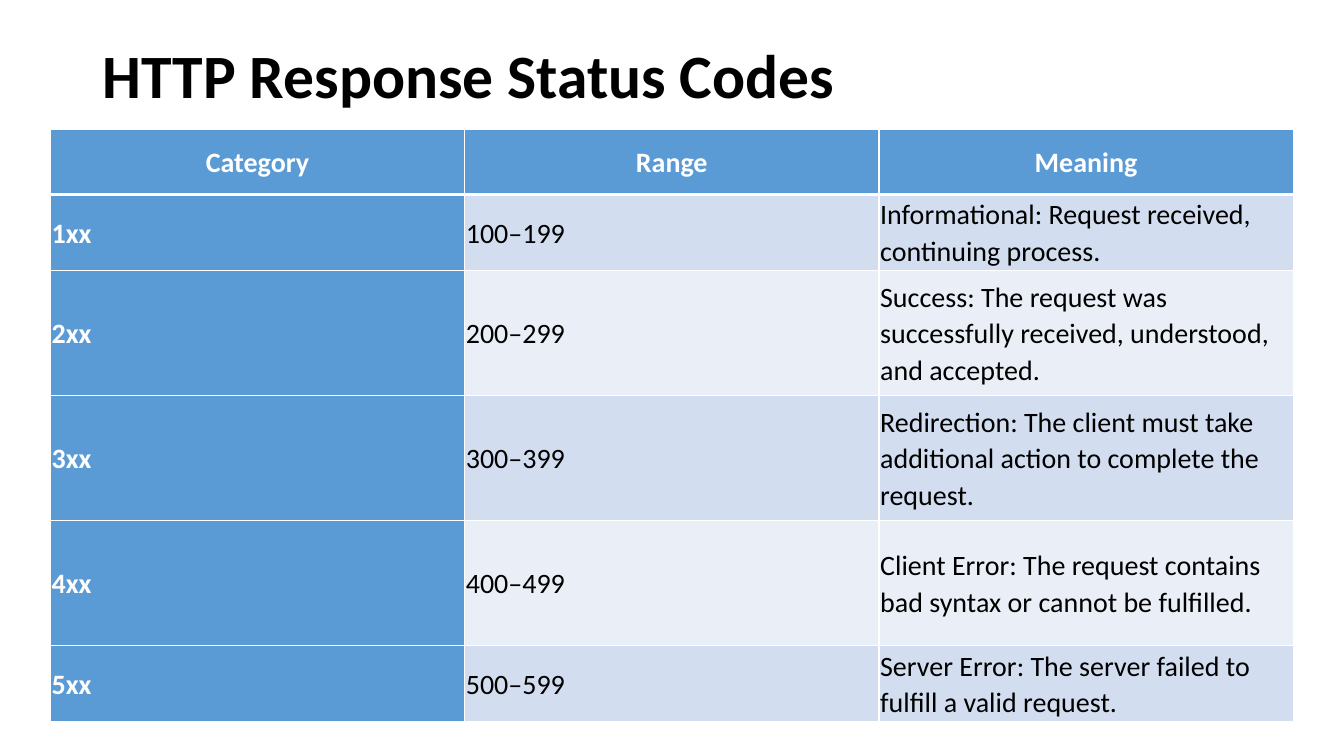
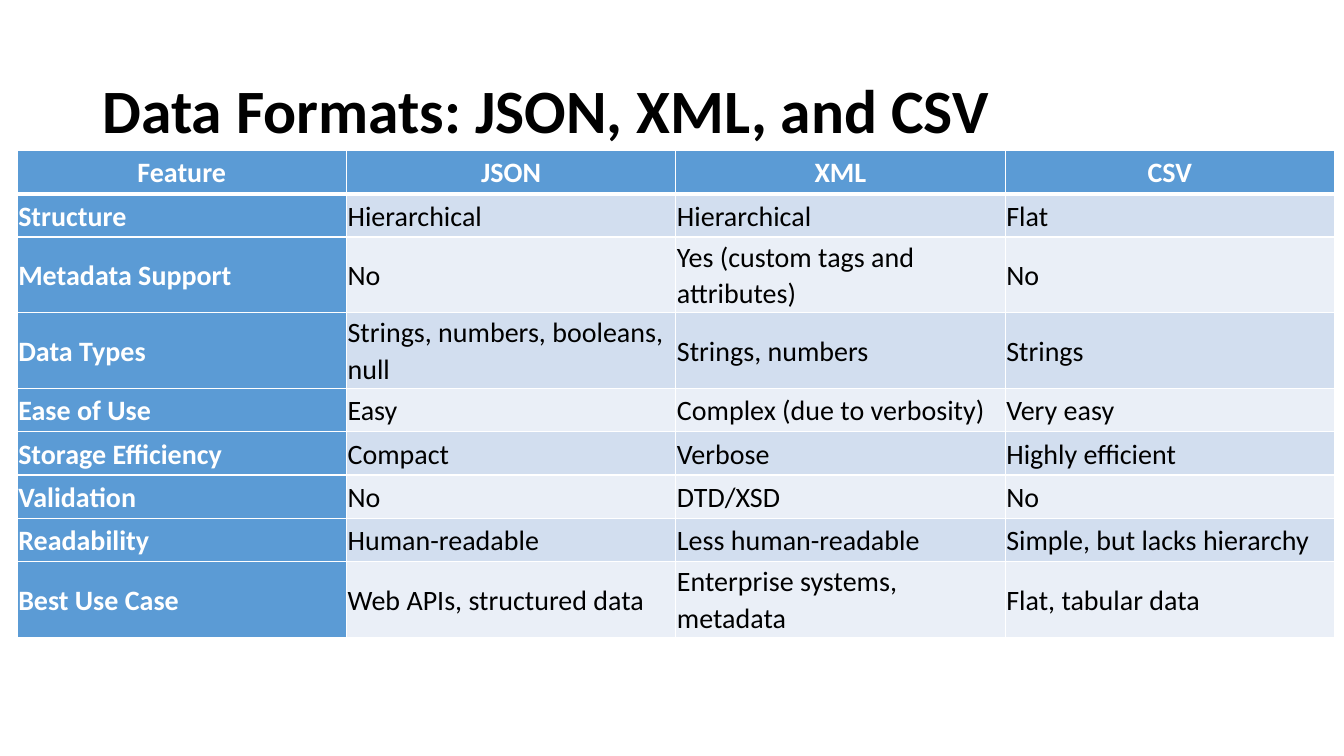
from lxml import etree
from pptx import Presentation
from pptx import util as u
from pptx.dml.color import RGBColor
from pptx.enum import text
from pptx.oxml import ns

FONT = "Calibri"
BLACK, WHITE, BLUE = "000000", "FFFFFF", "5B9BD5"
BANDS = ("D2DEEF", "EAEFF7")
THIN, THICK = 1, 3
CELL_INSET = u.Cm(0.03)

STATUS_CODES = [
    ("Category", "Range", "Meaning"),
    ("1xx", "100–199", "Informational: Request received, continuing process."),
    ("2xx", "200–299", "Success: The request was successfully received, understood, and accepted."),
    ("3xx", "300–399", "Redirection: The client must take additional action to complete the request."),
    ("4xx", "400–499", "Client Error: The request contains bad syntax or cannot be fulfilled."),
    ("5xx", "500–599", "Server Error: The server failed to fulfill a valid request."),
]
STATUS_HEIGHTS = [1.65, 1.92, 3.15, 3.15, 3.15, 1.92]

DATA_FORMATS = [
    ("Feature", "JSON", "XML", "CSV"),
    ("Structure", "Hierarchical", "Hierarchical", "Flat"),
    ("Metadata Support", "No", "Yes (custom tags and attributes)", "No"),
    ("Data Types", "Strings, numbers, booleans, null", "Strings, numbers", "Strings"),
    ("Ease of Use", "Easy", "Complex (due to verbosity)", "Very easy"),
    ("Storage Efficiency", "Compact", "Verbose", "Highly efficient"),
    ("Validation", "No", "DTD/XSD", "No"),
    ("Readability", "Human-readable", "Less human-readable", "Simple, but lacks hierarchy"),
    ("Best Use Case", "Web APIs, structured data", "Enterprise systems, metadata", "Flat, tabular data"),
]
FORMAT_HEIGHTS = [1.09] * len(DATA_FORMATS)


def colour(value):
    return RGBColor.from_string(value)


def write(frame, words, size, ink, bold, align, spacing):
    para = frame.paragraphs[0]
    para.alignment = align
    para.line_spacing = spacing
    span = para.add_run()
    span.text = words
    span.font.name = FONT
    span.font.size = u.Pt(size)
    span.font.bold = bold
    span.font.color.rgb = colour(ink)


def add_page(deck, title, anchor):
    page = deck.slides.add_slide(deck.slide_layouts[5])
    box = page.shapes.title
    box.left, box.top = u.Cm(2.33), u.Cm(1.01)
    box.width, box.height = u.Cm(29.21), u.Cm(3.68)
    frame = box.text_frame
    frame.word_wrap = True
    frame.auto_size = text.MSO_AUTO_SIZE.NONE
    frame.vertical_anchor = anchor
    write(frame, title, 44, BLACK, True, text.PP_ALIGN.LEFT, 0.9)
    return page


def set_borders(cell, top, bottom):
    properties = cell._tc.get_or_add_tcPr()
    for side, width in (("L", THIN), ("R", THIN), ("T", top), ("B", bottom)):
        line = etree.SubElement(properties, ns.qn(f"a:ln{side}"), w=str(u.Pt(width)))
        fill = etree.SubElement(line, ns.qn("a:solidFill"))
        etree.SubElement(fill, ns.qn("a:srgbClr"), val=WHITE)


def fill_cell(cell, words, row, column):
    header = row == 0
    strong = header or column == 0
    set_borders(cell, THICK if row == 1 else THIN, THICK if header else THIN)
    cell.fill.solid()
    cell.fill.fore_color.rgb = colour(BLUE if strong else BANDS[(row - 1) % 2])
    cell.margin_left = cell.margin_right = CELL_INSET
    cell.margin_top = cell.margin_bottom = CELL_INSET
    cell.vertical_anchor = text.MSO_ANCHOR.MIDDLE
    align = text.PP_ALIGN.CENTER if header else text.PP_ALIGN.LEFT
    write(cell.text_frame, words, 20, WHITE if strong else BLACK, strong, align, 1.07)


def add_grid(page, rows, left, top, column_width, heights):
    count = len(rows[0])
    table = page.shapes.add_table(
        len(rows), count, u.Cm(left), u.Cm(top),
        u.Cm(column_width * count), u.Cm(sum(heights)),
    ).table
    table.first_col = True
    for column in table.columns:
        column.width = u.Cm(column_width)
    for row, (entries, height) in enumerate(zip(rows, heights)):
        table.rows[row].height = u.Cm(height)
        for column, words in enumerate(entries):
            fill_cell(table.cell(row, column), words, row, column)


def main():
    deck = Presentation()
    deck.slide_width, deck.slide_height = u.Cm(33.87), u.Cm(19.05)

    page = add_page(deck, "HTTP Response Status Codes", text.MSO_ANCHOR.TOP)
    add_grid(page, STATUS_CODES, 1.27, 3.25, 10.44, STATUS_HEIGHTS)

    page = add_page(deck, "Data Formats: JSON, XML, and CSV", text.MSO_ANCHOR.MIDDLE)
    add_grid(page, DATA_FORMATS, 0.43, 3.79, 8.3, FORMAT_HEIGHTS)

    deck.save("out.pptx")


if __name__ == "__main__":
    main()
